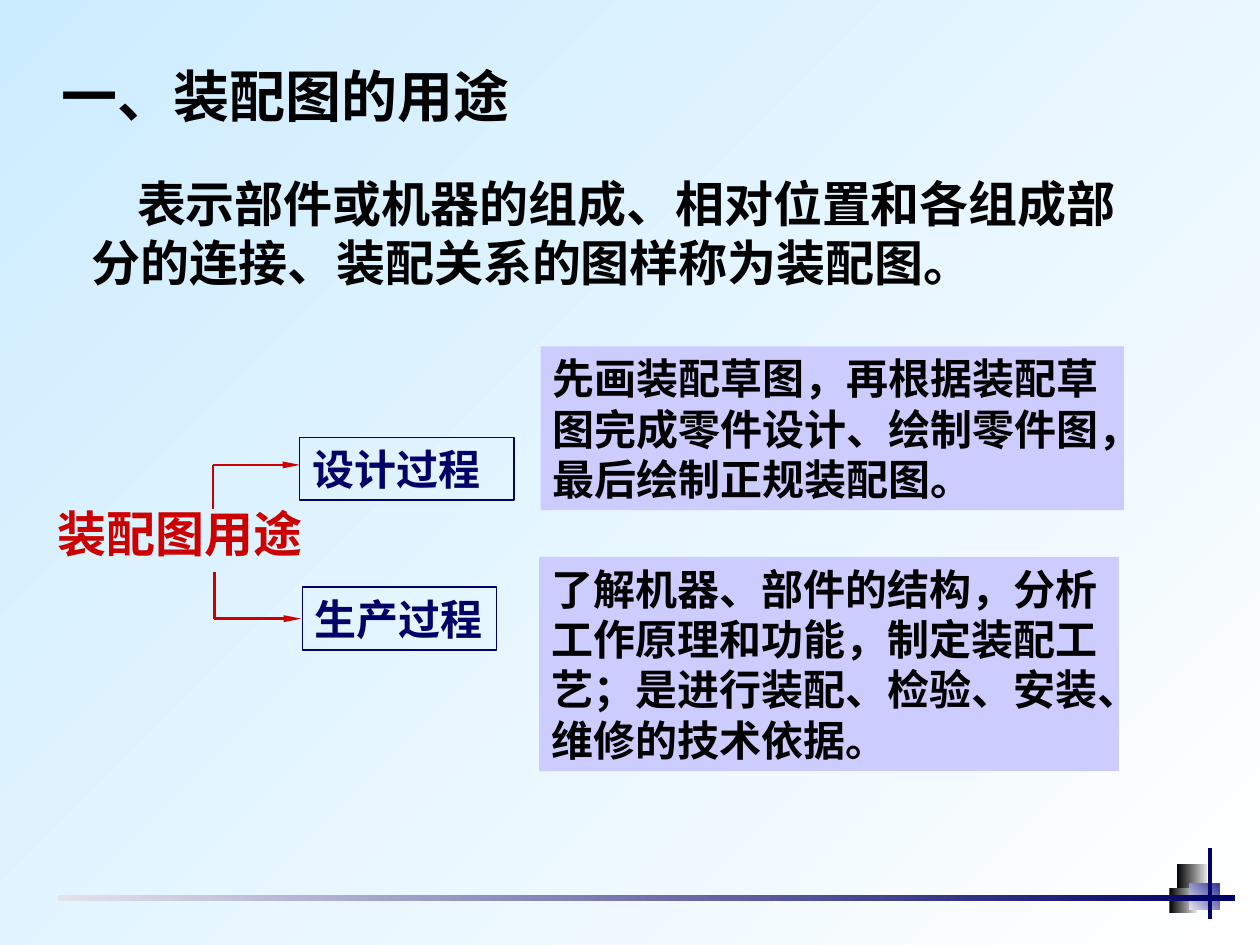
from pptx import Presentation
from pptx.dml.color import RGBColor
from pptx.enum.shapes import MSO_CONNECTOR, MSO_SHAPE
from pptx.enum.text import MSO_ANCHOR, PP_ALIGN
from pptx.oxml.ns import qn
from pptx.util import Inches, Pt
from lxml.etree import SubElement

WIDE, HIGH = 10, 7.5
FONT = "Noto Sans CJK SC"
NAVY, RED, LILAC, BLACK = "000066", "CC0000", "CCCCFF", "000000"


def color(code):
    return RGBColor.from_string(code)


def blend(fill, start, end, angle=0):
    fill.gradient()
    fill.gradient_angle = angle
    for stop, code in zip(fill.gradient_stops, (start, end)):
        stop.color.rgb = color(code)


def rect(slide, area):
    shape = slide.shapes.add_shape(
        MSO_SHAPE.RECTANGLE, *[Inches(part) for part in area])
    shape.shadow.inherit = False
    shape.fill.background()
    shape.line.fill.background()
    return shape


def fade(slide, area, start, end, angle=0):
    blend(rect(slide, area).fill, start, end, angle)


def label(slide, area, text, size, ink=BLACK, fill=None, edge=None, indent=0):
    shape = rect(slide, area)
    if fill:
        shape.fill.solid()
        shape.fill.fore_color.rgb = color(fill)
    if edge:
        shape.line.color.rgb = color(edge)
        shape.line.width = Pt(0.75)
    frame = shape.text_frame
    frame.word_wrap = True
    frame.vertical_anchor = MSO_ANCHOR.TOP
    frame.text = text
    para = frame.paragraphs[0]
    para.alignment = PP_ALIGN.LEFT
    para.line_spacing = Pt(size * 1.2)
    if indent:
        para._p.get_or_add_pPr().set("indent", str(Inches(indent)))
    run = para.runs[0]
    run.font.size = Pt(size)
    run.font.bold = True
    run.font.name = FONT
    run.font.color.rgb = color(ink)
    SubElement(run.font._element, qn("a:ea"), typeface=FONT)


def line(slide, start, end, ink, width, arrow=False):
    link = slide.shapes.add_connector(
        MSO_CONNECTOR.STRAIGHT, *[Inches(part) for part in start + end])
    link.line.color.rgb = color(ink)
    link.line.width = Pt(width)
    if arrow:
        SubElement(link.line._get_or_add_ln(), qn("a:tailEnd"),
                   type="triangle", w="sm", len="lg")
    SubElement(link._element.spPr, qn("a:effectLst"))


def branch(slide, left, root, level):
    """Rise or drop from the root, then point right to a box."""
    line(slide, (left, root), (left, level), RED, 1.5)
    line(slide, (left, level), (left + 0.69, level), RED, 1.5, arrow=True)


def decor(slide):
    fade(slide, (9.34, 6.86, 0.24, 0.19), BLACK, "E3E3E3")
    fade(slide, (9.28, 7.05, 0.22, 0.2), BLACK, "EAEAEA")
    fade(slide, (9.44, 7.01, 0.24, 0.21), "333399", "E3E3F1", 225)
    fade(slide, (0.46, 7.1, 9.34, 0.05), "E3E3EE", NAVY)
    line(slide, (9.6, 6.73), (9.6, 7.29), NAVY, 2.25)


def main():
    deck = Presentation()
    deck.slide_width, deck.slide_height = Inches(WIDE), Inches(HIGH)
    slide = deck.slides.add_slide(deck.slide_layouts[6])

    # Background and corner ornament
    blend(slide.background.fill, "CCECFF", "FFFFFF", 315)
    decor(slide)

    # Heading and definition
    label(slide, (0.39, 0.44, 4.44, 0.64), "一、装配图的用途", 32)
    label(slide, (0.63, 1.33, 8.6, 1.04),
          "表示部件或机器的组成、相对位置和各组成部分的连接、装配关系的图样称为装配图。",
          28, indent=0.36)

    # Tree of uses
    label(slide, (0.36, 3.95, 2.62, 0.57), "装配图用途", 28, RED)
    label(slide, (2.38, 3.47, 1.7, 0.5), "设计过程", 24, NAVY, edge=NAVY)
    label(slide, (2.4, 4.66, 1.54, 0.5), "生产过程", 24, NAVY, edge=NAVY)
    branch(slide, 1.69, 4.04, 3.69)
    branch(slide, 1.7, 4.54, 4.91)

    # Details of each use
    label(slide, (4.29, 2.75, 4.63, 1.3),
          "先画装配草图，再根据装配草图完成零件设计、绘制零件图，最后绘制正规装配图。",
          24, fill=LILAC)
    label(slide, (4.28, 4.42, 4.6, 1.7),
          "了解机器、部件的结构，分析工作原理和功能，制定装配工艺；是进行装配、检验、安装、维修的技术依据。",
          24, fill=LILAC)

    deck.save("out.pptx")


if __name__ == "__main__":
    main()
